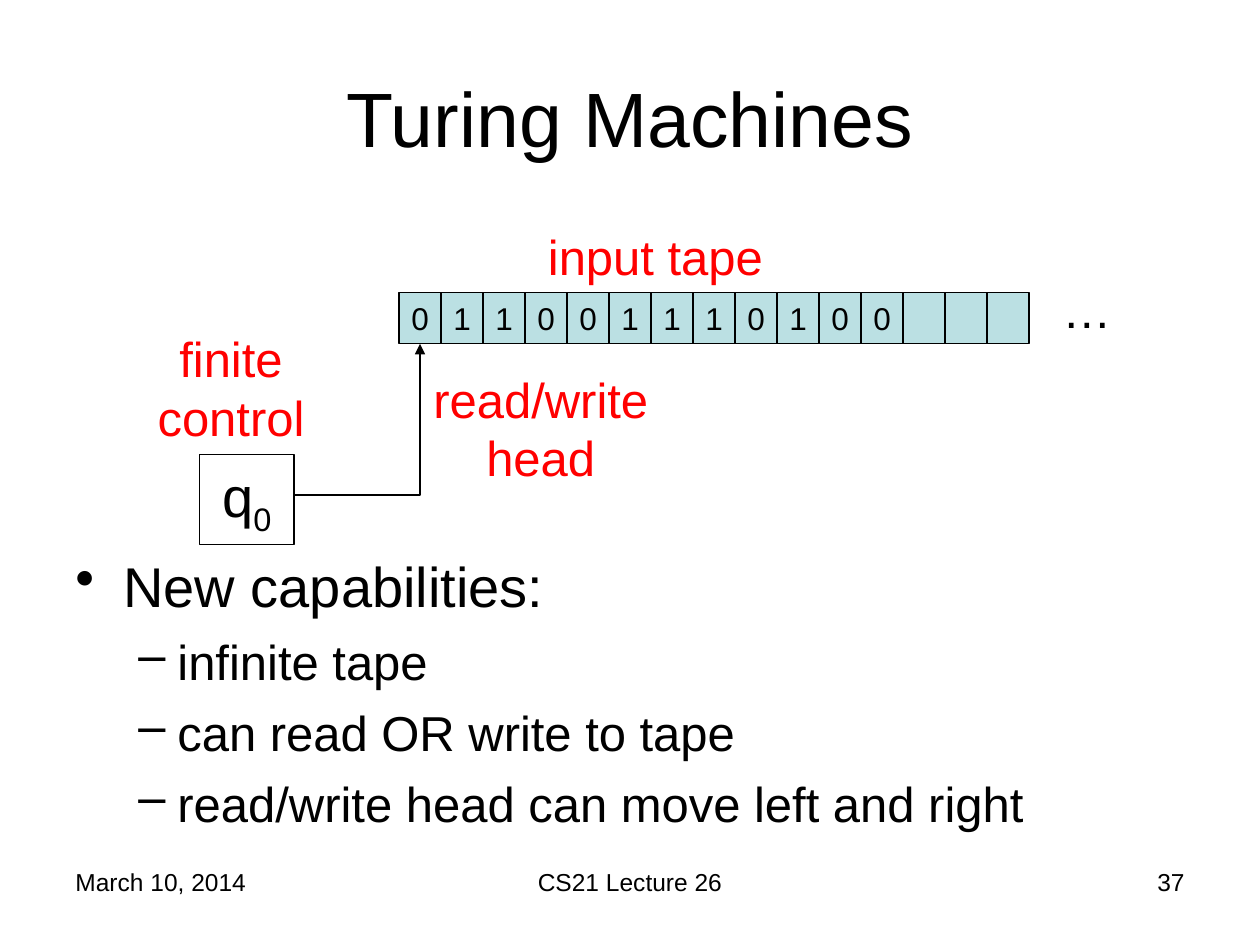
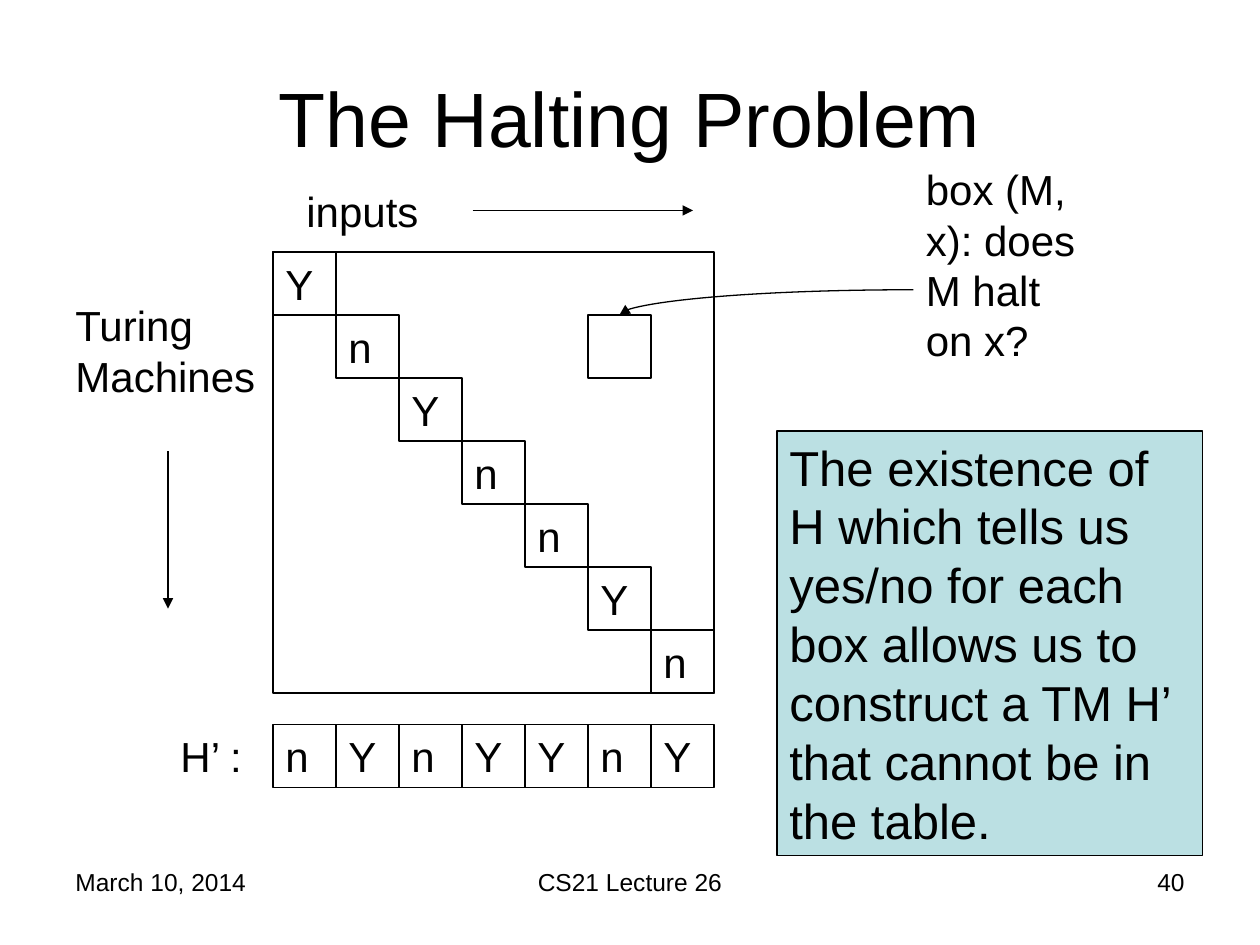
from lxml.etree import SubElement
from pptx import Presentation
from pptx.dml.color import RGBColor
from pptx.enum.shapes import MSO_CONNECTOR, MSO_SHAPE
from pptx.enum.text import MSO_ANCHOR, PP_ALIGN
from pptx.oxml.ns import qn
from pptx.util import Inches, Pt

COLORS = {"text": "000000", "line": "000000", "label": "FF0000", "panel": "BBE0E3"}
FONT = "Arial"
LEFT, CENTER, RIGHT = PP_ALIGN.LEFT, PP_ALIGN.CENTER, PP_ALIGN.RIGHT

presentation = Presentation()
presentation.slide_width = Inches(10)
presentation.slide_height = Inches(7.5)
COLUMN = presentation.slide_width / 60
ROW = presentation.slide_height / 75


def add_box(slide, place, text="", size=24, align=LEFT, color="text",
            fill=None, outlined=False, anchor=MSO_ANCHOR.TOP):
    """Add a text box, or a rectangle if outlined; place is in columns and rows."""
    left, top, width, height = place
    frame = (round(left * COLUMN), round(top * ROW),
             round(width * COLUMN), round(height * ROW))
    if outlined:
        shape = slide.shapes.add_shape(MSO_SHAPE.RECTANGLE, *frame)
        shape.shadow.inherit = False
        shape.line.color.rgb = RGBColor.from_string(COLORS["line"])
        shape.line.width = Pt(0.75)
        if fill:
            shape.fill.solid()
            shape.fill.fore_color.rgb = RGBColor.from_string(COLORS[fill])
        else:
            shape.fill.background()
    else:
        shape = slide.shapes.add_textbox(*frame)
    shape.text_frame.word_wrap = True
    shape.text_frame.vertical_anchor = anchor
    paragraph = shape.text_frame.paragraphs[0]
    if text:
        paragraph.text = text
    paragraph.alignment = align
    paragraph.font.size = Pt(size)
    paragraph.font.name = FONT
    paragraph.font.color.rgb = RGBColor.from_string(COLORS[color])
    return shape


def add_arrow(slide, start, end, kind=MSO_CONNECTOR.STRAIGHT, preset=None):
    """Add an arrow between two (column, row) points; preset overrides its geometry."""
    (x1, y1), (x2, y2) = start, end
    arrow = slide.shapes.add_connector(kind, round(x1 * COLUMN), round(y1 * ROW),
                                       round(x2 * COLUMN), round(y2 * ROW))
    arrow.line.color.rgb = RGBColor.from_string(COLORS["line"])
    arrow.line.width = Pt(0.75)
    properties = arrow._element.spPr
    SubElement(properties.find(qn("a:ln")), qn("a:tailEnd"), type="triangle")
    SubElement(properties, qn("a:effectLst"))
    if preset:
        properties.find(qn("a:prstGeom")).set("prst", preset)


# Titles and footers
slides = []
for title, number in [("Turing Machines", "37"), ("The Halting Problem", "40")]:
    slide = presentation.slides.add_slide(presentation.slide_layouts[6])
    slides.append(slide)
    add_box(slide, (3, 3, 54, 12.5), title, 44, CENTER, anchor=MSO_ANCHOR.MIDDLE)
    for left, width, text, align in [(3, 14, "March 10, 2014", LEFT),
                                     (20.5, 19, "CS21 Lecture 26", CENTER),
                                     (43, 14, number, RIGHT)]:
        add_box(slide, (left, 68.3, width, 5.2), text, 14, align)
machine_slide, halting_slide = slides

# Turing Machines: capabilities
capabilities = add_box(machine_slide, (3, 43.3, 54, 27.5), "New capabilities:", 32)
for text in ["infinite tape", "can read OR write to tape",
             "read/write head can move left and right"]:
    paragraph = capabilities.text_frame.add_paragraph()
    paragraph.text = text
    paragraph.level = 1
    paragraph.space_before = Pt(7)
for paragraph in capabilities.text_frame.paragraphs:
    size, margin, hanging, bullet = ((28, 0.81, 0.31, "–") if paragraph.level
                                     else (32, 0.38, 0.38, "•"))
    properties = paragraph._p.get_or_add_pPr()
    properties.set("marL", str(Inches(margin)))
    properties.set("indent", str(-Inches(hanging)))
    for old_font in properties.findall(qn("a:defRPr")):
        properties.remove(old_font)
    SubElement(properties, qn("a:buChar"), char=bullet)
    paragraph.font.size = Pt(size)
    paragraph.font.name = FONT
    paragraph.font.color.rgb = RGBColor.from_string(COLORS["text"])

# Turing Machines: tape, control and head
tape = list("011001110100") + [""] * 3
for index, symbol in enumerate(tape):
    add_box(machine_slide, (19 + 2 * index, 23.2, 2, 4.05), symbol, 18, CENTER,
            fill="panel", outlined=True)
state = add_box(machine_slide, (9.5, 36.1, 4.5, 7.1), "q", 32, CENTER, outlined=True)
subscript = state.text_frame.paragraphs[0].add_run()
subscript.text = "0"
subscript.font._element.set("baseline", "-25000")
add_arrow(machine_slide, (14, 39.3), (20, 27.3), MSO_CONNECTOR.ELBOW, "bentConnector2")
for place, text, align, color in [
    ((25.5, 17.5, 14, 5.7), "input tape", LEFT, "label"),
    ((5.5, 25.6, 11, 10.4), "finite control", CENTER, "label"),
    ((19.5, 28.8, 12.5, 10.4), "read/write head", CENTER, "label"),
    ((50, 21.7, 4.5, 5.7), "…", LEFT, "text"),
]:
    add_box(machine_slide, place, text, 28, align, color)

# The Halting Problem: table with its diagonal, and the flipped row below
CELL_COLUMNS, CELL_ROWS = 3, 5
TABLE_LEFT, TABLE_TOP, FLIPPED_TOP = 13, 20, 57.5
diagonal = "YnYnnYn"
add_box(halting_slide, (TABLE_LEFT, TABLE_TOP, CELL_COLUMNS * len(diagonal),
                        CELL_ROWS * len(diagonal)), outlined=True)
for index, answer in enumerate(diagonal):
    left = TABLE_LEFT + CELL_COLUMNS * index
    flipped = "n" if answer == "Y" else "Y"
    for top, text in [(TABLE_TOP + CELL_ROWS * index, answer), (FLIPPED_TOP, flipped)]:
        add_box(halting_slide, (left, top, CELL_COLUMNS, CELL_ROWS), text, outlined=True)
add_box(halting_slide, (TABLE_LEFT + 5 * CELL_COLUMNS, TABLE_TOP + CELL_ROWS,
                        CELL_COLUMNS, CELL_ROWS), outlined=True)

# The Halting Problem: labels, arrows and conclusion
for place, text in [
    ((3, 23.3, 11, 9), "Turing Machines"),
    ((14, 14.2, 11, 5), "inputs"),
    ((8, FLIPPED_TOP, 5, 5), "H’ :"),
    ((43.5, 12.5, 8.5, 21), "box (M, x): does M halt on x?"),
]:
    add_box(halting_slide, place, text)
add_arrow(halting_slide, (8, 35.8), (8, 48.3))
add_arrow(halting_slide, (22.5, 16.7), (33, 16.7))
add_arrow(halting_slide, (43.5, 23), (29.5, 25), MSO_CONNECTOR.CURVE, "curvedConnector2")
add_box(halting_slide, (37, 34.2, 20.25, 33.7),
        "The existence of H which tells us yes/no for each box allows us to "
        "construct a TM H’ that cannot be in the table.",
        28, fill="panel", outlined=True)

presentation.save("out.pptx")
